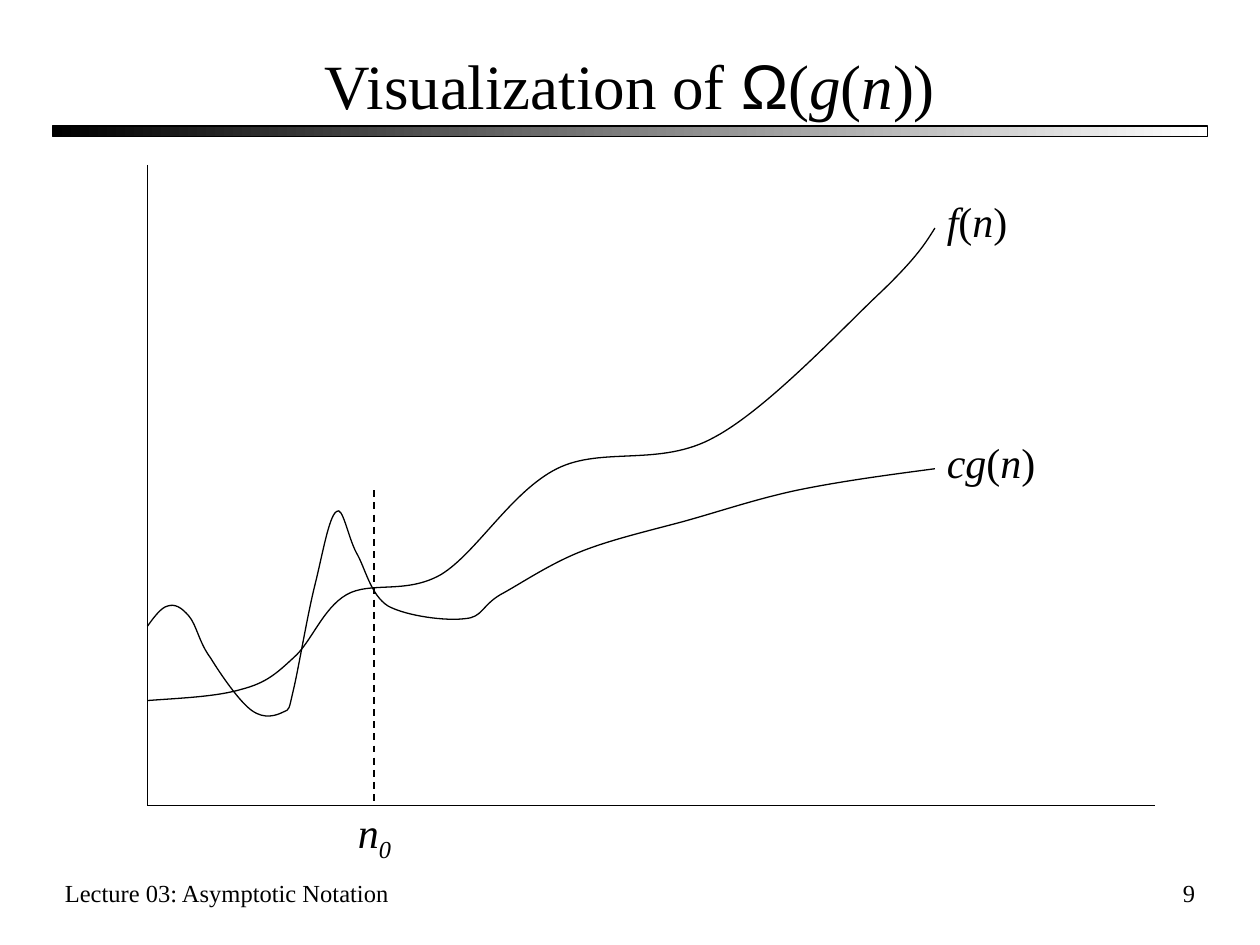
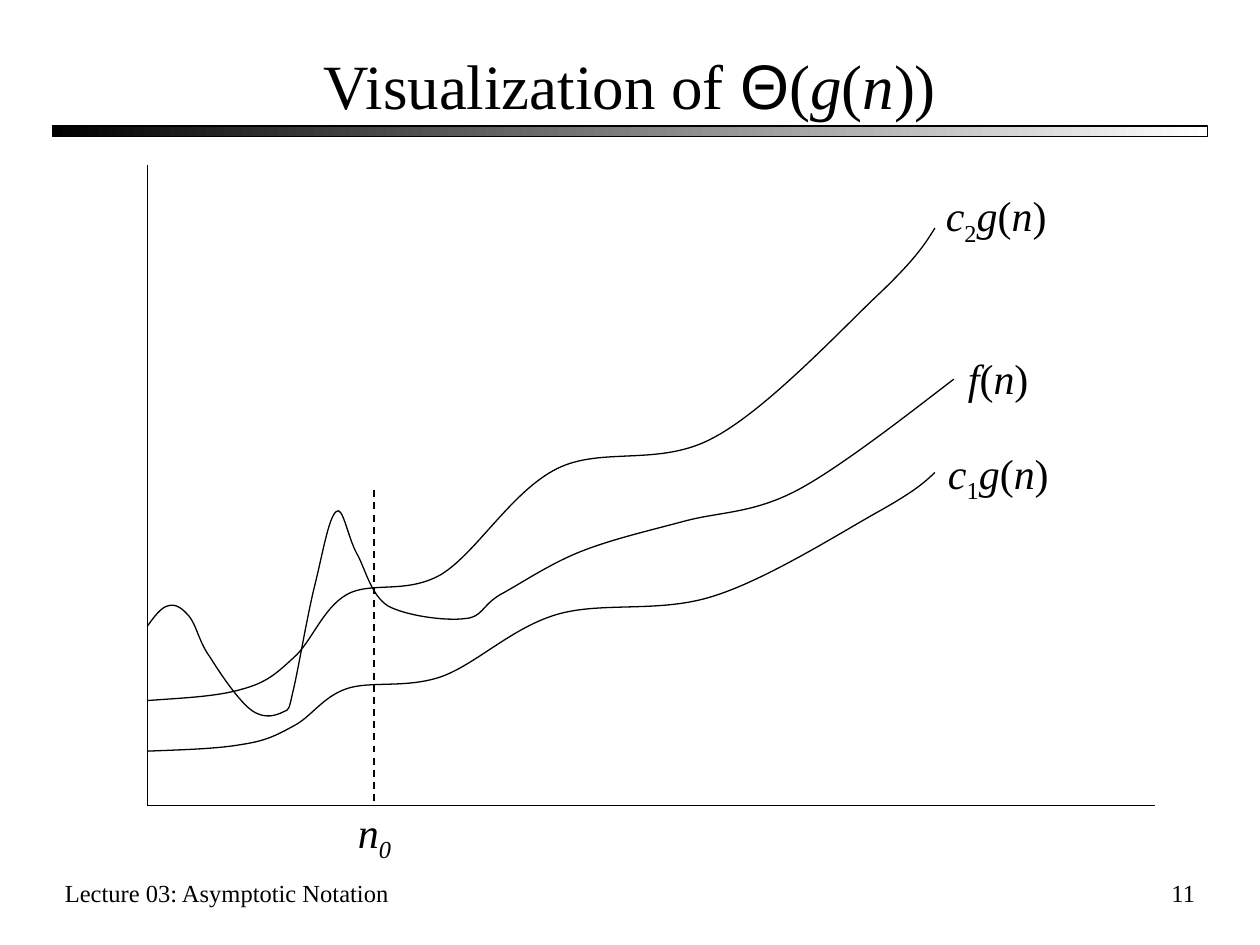
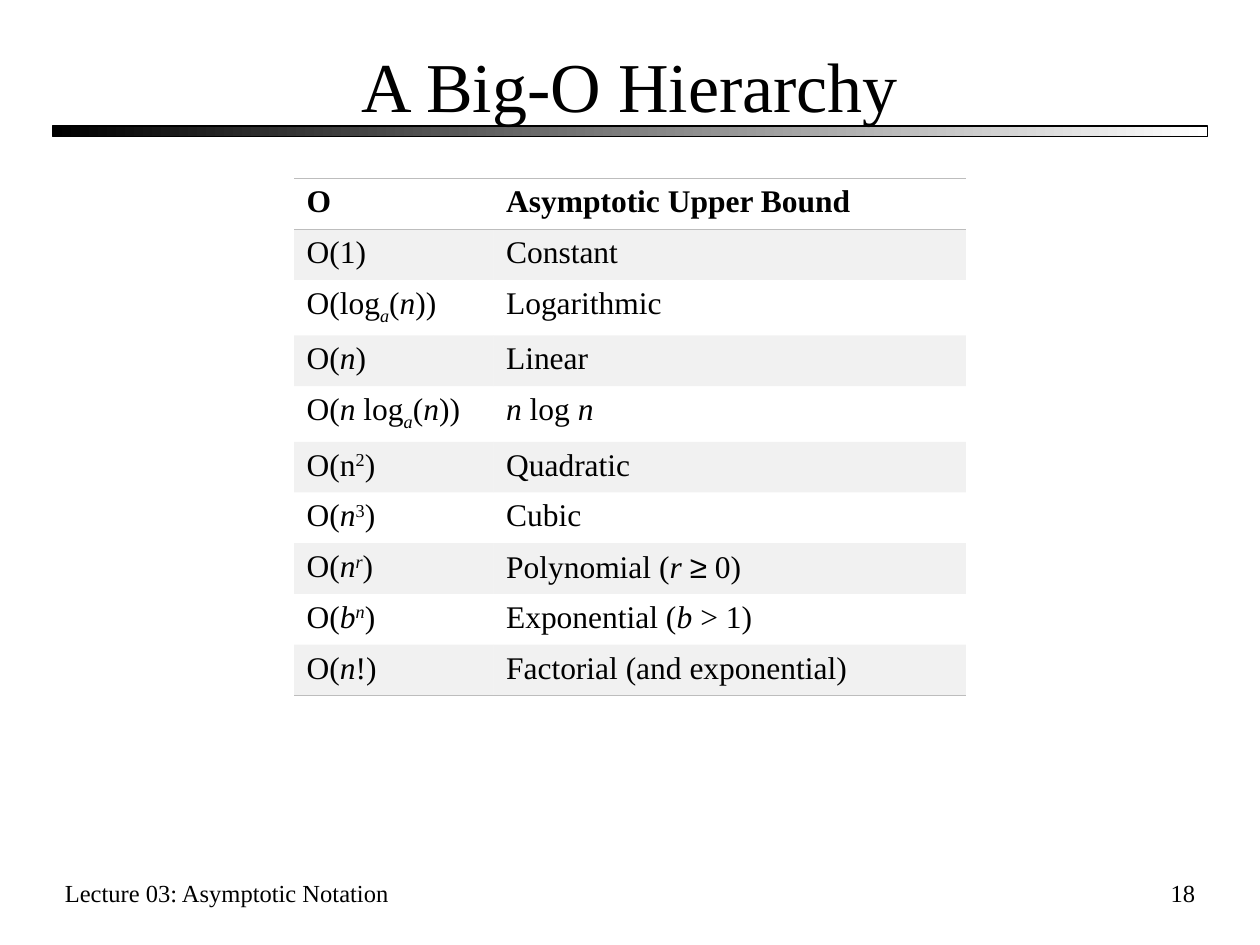
from itertools import groupby

from lxml import etree
from pptx import Presentation
from pptx import util as u
from pptx.dml.color import RGBColor
from pptx.enum import dml, shapes, text
from pptx.oxml import ns

COLORS = {"ink": "000000", "paper": "FFFFFF", "rule": "BDBDBD"}
INK, PAPER, RULE = (RGBColor.from_string(c) for c in COLORS.values())
SERIF, SYMBOL = "Times New Roman", "Arial"
FOOTER = "Lecture 03: Asymptotic Notation"
NO_STYLE = "{2D5ABB26-0587-4C30-8999-92F81FD0307C}"

deck = Presentation()
deck.slide_width, deck.slide_height = u.Inches(10), u.Inches(7.5)
layout = deck.slide_layouts[5]
UNIT = deck.slide_width / 120  # the grid has 120 columns and 90 rows


def grid(*cells):
    return [u.Emu(round(cell * UNIT)) for cell in cells]


def write(frame, markup, size, align=text.PP_ALIGN.LEFT, bold=False):
    """Fill the frame; * toggles italic, ~ subscript and ^ superscript."""
    styled, on = [], {"*": False, "~": False, "^": False}
    for char in markup:
        if char in on:
            on[char] = not on[char]
        else:
            styled.append((char, (on["*"], on["~"], on["^"], char in "ΩΘ≥")))
    paragraph = frame.paragraphs[0]
    paragraph.alignment = align
    for (italic, sub, sup, symbol), chars in groupby(styled, lambda pair: pair[1]):
        run = paragraph.add_run()
        run.text = "".join(char for char, _ in chars)
        run.font.size, run.font.bold, run.font.italic = u.Pt(size), bold, italic
        run.font.name = SYMBOL if symbol else SERIF
        run.font.color.rgb = INK
        if sub or sup:
            run.font._element.set("baseline", "-25000" if sub else "30000")


# Curves in inches: a start, then two handles and an end for each segment
upper = [
    (1.17, 5.56),
    (1.44, 5.54), (1.72, 5.53), (1.92, 5.47),
    (2.11, 5.42), (2.19, 5.35), (2.33, 5.22),
    (2.47, 5.1), (2.56, 4.83), (2.75, 4.72),
    (2.94, 4.61), (3.22, 4.72), (3.5, 4.56),
    (3.78, 4.39), (4.06, 3.9), (4.42, 3.72),
    (4.78, 3.54), (5.24, 3.71), (5.67, 3.47),
    (6.1, 3.24), (6.71, 2.58), (7, 2.31),
    (7.29, 2.03), (7.35, 1.92), (7.42, 1.81),
]
lower = [(x, 3.75 + (y - 1.81) * 0.59) for x, y in upper]
wavy = [
    (1.17, 4.97),
    (1.22, 4.9), (1.28, 4.82), (1.33, 4.81),
    (1.39, 4.79), (1.44, 4.82), (1.5, 4.89),
    (1.56, 4.96), (1.58, 5.1), (1.67, 5.22),
    (1.75, 5.35), (1.9, 5.57), (2, 5.64),
    (2.1, 5.71), (2.19, 5.68), (2.25, 5.65),
    (2.3, 5.63), (2.29, 5.64), (2.33, 5.47),
    (2.37, 5.3), (2.44, 4.88), (2.5, 4.64),
    (2.56, 4.4), (2.61, 4.1), (2.67, 4.06),
    (2.72, 4.01), (2.76, 4.26), (2.83, 4.39),
    (2.9, 4.51), (2.94, 4.72), (3.08, 4.81),
    (3.23, 4.89), (3.54, 4.93), (3.69, 4.91),
    (3.83, 4.9), (3.82, 4.81), (3.97, 4.72),
    (4.12, 4.64), (4.34, 4.49), (4.58, 4.39),
    (4.82, 4.29), (5.12, 4.22), (5.42, 4.14),
]
wavy_flat = wavy + [(5.71, 4.06), (6, 3.96), (6.33, 3.89),
                    (6.67, 3.82), (7.04, 3.77), (7.42, 3.72)]
wavy_steep = wavy + [(5.71, 4.06), (5.97, 4.08), (6.33, 3.89),
                     (6.69, 3.7), (7.32, 3.2), (7.57, 3.01)]

# Slides: title, title size, page number
pages = [
    ("Visualization of Ω(*g*(*n*))", 36, "9"),
    ("Visualization of Θ(*g*(*n*))", 36, "11"),
    ("A Big-O Hierarchy", 40, "18"),
]
slides = []
for heading, size, number in pages:
    slide = deck.slides.add_slide(layout)
    slides.append(slide)
    title = slide.shapes.title
    title.left, title.top, title.width, title.height = grid(5, 4, 110, 8)
    title.text_frame.word_wrap = True
    title.text_frame.auto_size = text.MSO_AUTO_SIZE.NONE
    title.text_frame.vertical_anchor = text.MSO_ANCHOR.MIDDLE
    write(title.text_frame, heading, size, text.PP_ALIGN.CENTER)
    for words, left, width, align in [
        (FOOTER, 5, 42, text.PP_ALIGN.LEFT),
        (number, 90, 25, text.PP_ALIGN.RIGHT),
    ]:
        footer = slide.shapes.add_textbox(*grid(left, 83, width, 6))
        footer.text_frame.word_wrap = True
        write(footer.text_frame, words, 14, align)

# Gradient band under the title, moved to the shared layout
band = slides[0].shapes.add_shape(shapes.MSO_SHAPE.RECTANGLE, *grid(5, 12, 110, 1))
band.shadow.inherit = False
band.fill.gradient()
band.fill.gradient_angle = 0
for stop, shade, position in zip(band.fill.gradient_stops, (INK, PAPER), (0, 1)):
    stop.color.rgb, stop.position = shade, position
band.line.color.rgb, band.line.width = INK, u.Pt(0.75)
layout.shapes.element.insert(2, band.element)

# Growth plots: curves, then labels with left, top, width and height
threshold = ("*n*~*0*~", 32.9, 76.2, 6, 6.7)
plots = [
    ([upper, wavy_flat],
     [threshold, ("*cg*(*n*)", 89, 41, 10.8, 6), ("*f*(*n*)", 89, 18, 8.2, 6)]),
    ([upper, wavy_steep, lower],
     [threshold, ("*c*~2~*g*(*n*)", 88.9, 17.5, 12, 6.7),
      ("*f*(*n*)", 91, 33, 8.2, 6), ("*c*~1~*g*(*n*)", 89.1, 42, 12, 6.7)]),
]
AXES = [
    (14.04, 15.7, 14.04, 76.7, 0.75, None),
    (14.04, 76.7, 110, 76.7, 0.75, None),
    (35.64, 46.7, 35.64, 76.7, 1, dml.MSO_LINE.DASH),
]
DETAIL = 1000  # outline steps per inch, since outlines hold whole numbers
for slide, (curves, labels) in zip(slides, plots):
    for *ends, weight, dash in AXES:
        axis = slide.shapes.add_connector(shapes.MSO_CONNECTOR.STRAIGHT, *grid(*ends))
        axis.line.color.rgb, axis.line.width = INK, u.Pt(weight)
        axis.line.dash_style = dash
        etree.SubElement(axis.element.spPr, ns.qn("a:effectLst"))

    for points in curves:
        start, *rest = [(round(x * DETAIL), round(y * DETAIL)) for x, y in points]
        builder = slide.shapes.build_freeform(*start, scale=u.Inches(1) / DETAIL)
        builder.add_line_segments(rest, close=False)
        curve = builder.convert_to_shape()
        curve.shadow.inherit = False
        curve.fill.background()
        curve.line.color.rgb, curve.line.width = INK, u.Pt(0.75)
        # Join every three straight steps into one Bézier segment
        steps = list(curve.element.iter(ns.qn("a:lnTo")))
        outline = steps[0].getparent()
        for first in range(0, len(steps), 3):
            bezier = etree.SubElement(outline, ns.qn("a:cubicBezTo"))
            for step in steps[first:first + 3]:
                bezier.append(step[0])
                outline.remove(step)

    for words, *box in labels:
        label = slide.shapes.add_textbox(*grid(*box))
        label.text_frame.word_wrap = False
        label.text_frame.auto_size = text.MSO_AUTO_SIZE.SHAPE_TO_FIT_TEXT
        write(label.text_frame, words, 24)

# Table of growth classes
classes = [
    ("O", "Asymptotic Upper Bound"),
    ("O(1)", "Constant"),
    ("O(log~*a*~(*n*))", "Logarithmic"),
    ("O(*n*)", "Linear"),
    ("O(*n* log~*a*~(*n*))", "*n* log *n*"),
    ("O(n^2^)", "Quadratic"),
    ("O(*n*^3^)", "Cubic"),
    ("O(*n*^*r*^)", "Polynomial (*r *≥ 0)"),
    ("O(*b*^*n*^)", "Exponential (*b* > 1)"),
    ("O(*n*!)", "Factorial (and exponential)"),
]
EDGES = {0: ["lnT", "lnB"], len(classes) - 1: ["lnB"]}
frame = slides[2].shapes.add_table(len(classes), 2, *grid(28, 17, 64, 49.3))
hierarchy = frame.table
hierarchy.first_row = hierarchy.horz_banding = False
frame.element.find(".//" + ns.qn("a:tableStyleId")).text = NO_STYLE
hierarchy.columns[0].width, hierarchy.columns[1].width = grid(19, 45)
for r, entries in enumerate(classes):
    hierarchy.rows[r].height, = grid(5.3 if "~" in entries[0] else 4.83)
    for c, words in enumerate(entries):
        cell = hierarchy.cell(r, c)
        write(cell.text_frame, words, 18, bold=r == 0)
        if r % 2:
            cell.fill.solid()
            cell.fill.fore_color.rgb = RULE
            tint = cell._tc.tcPr.find(".//" + ns.qn("a:srgbClr"))
            etree.SubElement(tint, ns.qn("a:alpha"), val="20000")
        else:
            cell.fill.background()
        for place, edge in enumerate(EDGES.get(r, [])):
            border = etree.Element(ns.qn("a:" + edge), w=str(u.Pt(0.45)))
            solid = etree.SubElement(border, ns.qn("a:solidFill"))
            etree.SubElement(solid, ns.qn("a:srgbClr"), val=COLORS["rule"])
            cell._tc.tcPr.insert(place, border)

deck.save("out.pptx")
